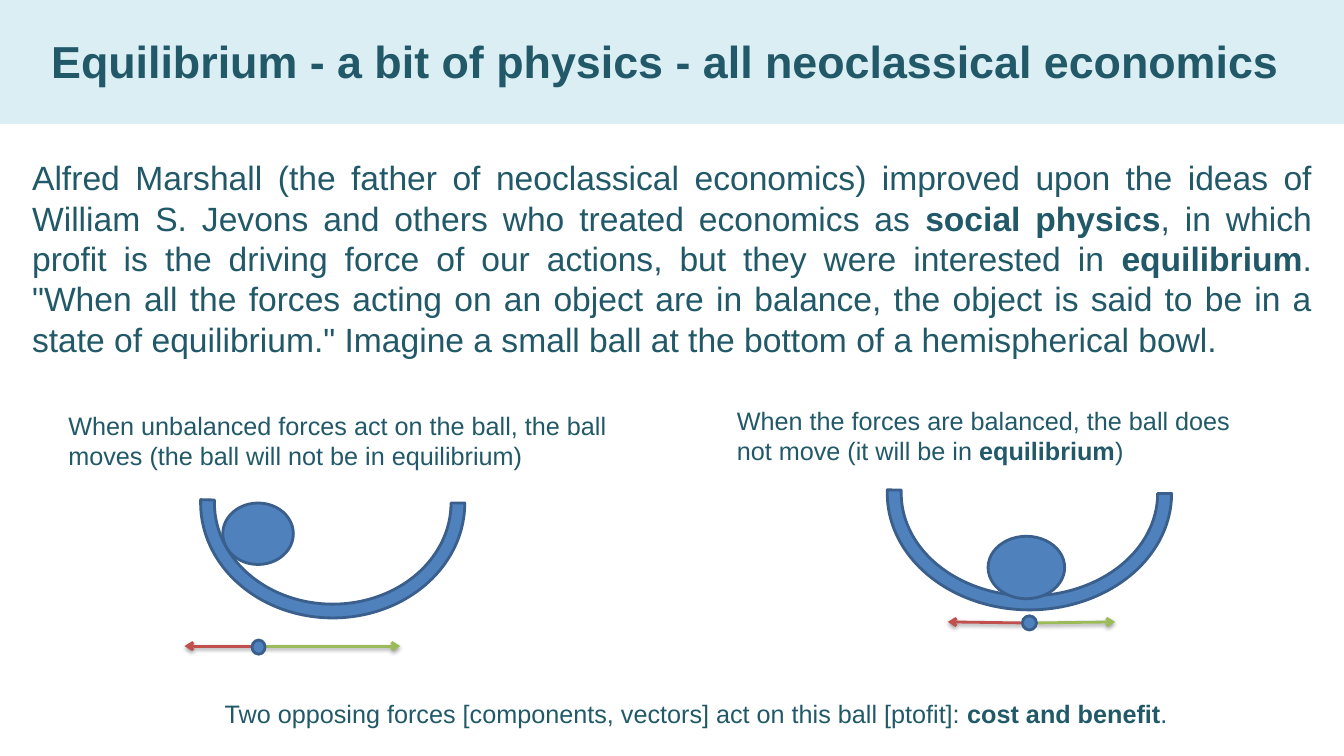
from dataclasses import dataclass

from lxml.etree import SubElement
from pptx import Presentation
from pptx.dml.color import RGBColor
from pptx.enum.shapes import MSO_CONNECTOR, MSO_SHAPE
from pptx.enum.text import MSO_ANCHOR, PP_ALIGN
from pptx.oxml.ns import qn
from pptx.shapes.autoshape import Shape
from pptx.shapes.group import GroupShape
from pptx.slide import Slide
from pptx.text.text import TextFrame
from pptx.util import Inches, Pt

FONT = "Arial"
COLORS = {
    "band": "DBEEF4",
    "text": "215968",
    "ball": "4F81BD",
    "outline": "3A5F8C",
    "benefit": "9BBB59",
    "cost": "C0504D",
    "shadow": "000000",
}


@dataclass(frozen=True)
class Frame:
    left: float
    top: float
    width: float
    height: float

    def lengths(self) -> list[Inches]:
        return [Inches(value) for value in (self.left, self.top, self.width, self.height)]


@dataclass(frozen=True)
class Span:
    text: str
    bold: bool = False


@dataclass(frozen=True)
class Caption:
    frame: Frame
    spans: list[Span]
    size: int = 18
    align: PP_ALIGN = PP_ALIGN.LEFT


@dataclass(frozen=True)
class Force:
    color: str
    start: tuple[float, float]
    end: tuple[float, float]


@dataclass(frozen=True)
class Bowl:
    arc: Frame
    ball: Frame
    forces: list[Force]
    point: Frame


TITLE = Caption(
    Frame(0, -0.02, 13.33, 1.25),
    [Span("Equilibrium - a bit of physics - all neoclassical economics ", True)],
    32,
    PP_ALIGN.CENTER,
)

CAPTIONS = [
    Caption(
        Frame(0.22, 1.51, 12.89, 2.12),
        [
            Span(
                "Alfred Marshall (the father of neoclassical economics) improved upon the ideas of "
                "William S. Jevons and others who treated economics as "
            ),
            Span("social physics", True),
            Span(
                ", in which profit is the driving force of our actions, "
                "but they were interested in "
            ),
            Span("equilibrium", True),
            Span(
                '. "When all the forces acting on an object are in balance, the object is said '
                'to be in a state of equilibrium." Imagine a small ball at the bottom of a '
                "hemispherical bowl. "
            ),
        ],
        24,
        PP_ALIGN.JUSTIFY,
    ),
    Caption(
        Frame(0.58, 4.02, 5.62, 0.71),
        [
            Span(
                "When unbalanced forces act on the ball, the ball moves "
                "(the ball will not be in equilibrium)"
            )
        ],
    ),
    Caption(
        Frame(7.21, 3.97, 5.32, 0.71),
        [
            Span("When the forces are balanced, the ball does not move (it will be in "),
            Span("equilibrium", True),
            Span(")"),
        ],
    ),
    Caption(
        Frame(2.13, 6.88, 10.17, 0.4),
        [
            Span("Two opposing forces [components, vectors] act on this ball [ptofit]: "),
            Span("cost and benefit", True),
            Span("."),
        ],
    ),
]

BOWLS = [
    Bowl(
        Frame(1.99, 3.85, 2.62, 2.28),
        Frame(2.21, 4.99, 0.7, 0.61),
        [
            Force("benefit", (2.56, 6.41), (3.97, 6.41)),
            Force("cost", (2.56, 6.41), (1.83, 6.41)),
        ],
        Frame(2.5, 6.35, 0.13, 0.14),
    ),
    Bowl(
        Frame(8.8, 3.74, 2.82, 2.31),
        Frame(9.8, 5.32, 0.76, 0.62),
        [
            Force("benefit", (10.28, 6.18), (11.06, 6.17)),
            Force("cost", (10.14, 6.18), (9.4, 6.17)),
        ],
        Frame(10.14, 6.11, 0.14, 0.14),
    ),
]


def color(name: str) -> RGBColor:
    return RGBColor.from_string(COLORS[name])


def write(text_frame: TextFrame, caption: Caption) -> None:
    text_frame.word_wrap = True
    para = text_frame.paragraphs[0]
    para.alignment = caption.align
    para.font.name = FONT
    para.font.size = Pt(caption.size)
    para.font.color.rgb = color("text")
    for span in caption.spans:
        run = para.add_run()
        run.text = span.text
        run.font.bold = span.bold


def add_title(page: Slide) -> None:
    title = page.shapes.title
    title.left, title.top, title.width, title.height = TITLE.frame.lengths()
    title.fill.solid()
    title.fill.fore_color.rgb = color("band")
    box = title.text_frame
    box.margin_left = box.margin_top = box.margin_right = box.margin_bottom = 0
    box.vertical_anchor = MSO_ANCHOR.MIDDLE
    write(box, TITLE)


def add_solid(group: GroupShape, kind: MSO_SHAPE, frame: Frame) -> Shape:
    shape = group.shapes.add_shape(kind, *frame.lengths())
    shape.shadow.inherit = False
    shape.fill.solid()
    shape.fill.fore_color.rgb = color("ball")
    shape.line.color.rgb = color("outline")
    shape.line.width = Pt(2)
    return shape


def add_force(group: GroupShape, force: Force) -> None:
    ends = [Inches(value) for value in (*force.start, *force.end)]
    arrow = group.shapes.add_connector(MSO_CONNECTOR.STRAIGHT, *ends)
    arrow.line.color.rgb = color(force.color)
    arrow.line.width = Pt(2)
    properties = arrow.element.spPr
    SubElement(properties.find(qn("a:ln")), qn("a:tailEnd"), type="arrow")
    effects = SubElement(properties, qn("a:effectLst"))
    shadow = SubElement(
        effects, qn("a:outerShdw"), blurRad=str(Pt(3.1)), dist=str(Pt(1.6)),
        dir="5400000", rotWithShape="0",
    )
    tint = SubElement(shadow, qn("a:srgbClr"), val=COLORS["shadow"])
    SubElement(tint, qn("a:alpha"), val="38000")


def add_bowl(page: Slide, bowl: Bowl) -> None:
    group = page.shapes.add_group_shape()
    arc = add_solid(group, MSO_SHAPE.BLOCK_ARC, bowl.arc)
    arc.rotation = 180
    for index, value in enumerate((108, 0.88, 0.06)):
        arc.adjustments[index] = value
    add_solid(group, MSO_SHAPE.FLOWCHART_CONNECTOR, bowl.ball)
    for force in bowl.forces:
        add_force(group, force)
    add_solid(group, MSO_SHAPE.FLOWCHART_CONNECTOR, bowl.point)


def main() -> None:
    deck = Presentation()
    deck.slide_width, deck.slide_height = Inches(13.33), Inches(7.5)
    page = deck.slides.add_slide(deck.slide_layouts[5])
    add_title(page)
    for bowl in BOWLS:
        add_bowl(page, bowl)
    for caption in CAPTIONS:
        write(page.shapes.add_textbox(*caption.frame.lengths()).text_frame, caption)
    deck.save("out.pptx")


if __name__ == "__main__":
    main()
